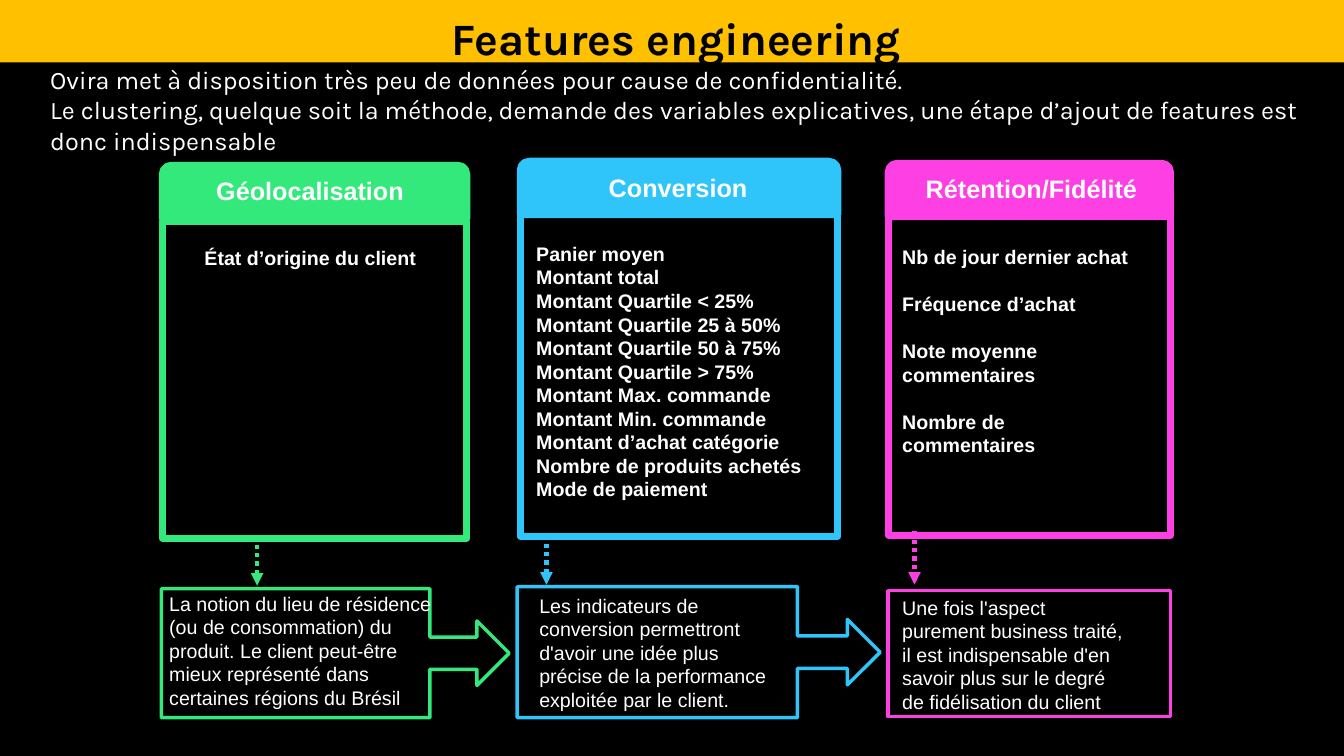
from lxml import etree
from pptx import Presentation
from pptx.dml.color import RGBColor
from pptx.enum import dml, shapes, text
from pptx.oxml import ns
from pptx.util import Inches, Pt

BLACK = RGBColor(0x00, 0x00, 0x00)
WHITE = RGBColor(0xFF, 0xFF, 0xFF)
AMBER = RGBColor(0xFF, 0xC0, 0x00)
GREEN = RGBColor(0x33, 0xE9, 0x7C)
BLUE = RGBColor(0x2F, 0xC5, 0xFA)
PINK = RGBColor(0xFE, 0x3F, 0xE4)

TITLE = "Features engineering"
INTRO = [
    "Ovira met à disposition très peu de données pour cause de confidentialité.",
    "Le clustering, quelque soit la méthode, demande des variables explicatives, "
    "une étape d’ajout de features est donc indispensable",
]
# Boxes are (left, top, width, height) in inches; "arrow" is (x, top, bottom).
COLUMNS = [
    dict(
        color=GREEN, head="Géolocalisation", items=["État d’origine du client"],
        note="La notion du lieu de résidence (ou de consommation) du produit. "
             "Le client peut-être mieux représenté dans certaines régions du Brésil",
        panel=(1.61, 2.2, 3.02, 3.14), tab=(1.61, 1.64, 3.02, 0.53),
        callout=(1.6, 5.84, 3.45, 1.28), arrow=(2.55, 5.32, 5.81),
        head_box=(2.03, 1.69, 2.09, 0.4), item_box=(1.93, 2.39, 2.4, 0.34),
        note_box=(1.58, 5.82, 2.81, 1.28), gap=0, last=False,
    ),
    dict(
        color=BLUE, head="Conversion",
        items=["Panier moyen", "Montant total", "Montant Quartile < 25%",
               "Montant Quartile 25 à 50%", "Montant Quartile 50 à 75%",
               "Montant Quartile > 75%", "Montant Max. commande",
               "Montant Min. commande", "Montant d’achat catégorie",
               "Nombre de produits achetés", "Mode de paiement"],
        note="Les indicateurs de conversion permettront d'avoir une idée plus "
             "précise de la performance exploitée par le client.",
        panel=(5.16, 2.13, 3.15, 3.19), tab=(5.16, 1.6, 3.15, 0.53),
        callout=(5.13, 5.82, 3.6, 1.3), arrow=(5.42, 5.31, 5.8),
        head_box=(5.19, 1.66, 3.07, 0.4), item_box=(5.22, 2.35, 2.89, 3.1),
        note_box=(5.25, 5.84, 2.61, 1.28), gap=0, last=False,
    ),
    dict(
        color=PINK, head="Rétention/Fidélité",
        items=["Nb de jour dernier achat", "Fréquence d’achat",
               "Note moyenne commentaires", "Nombre de commentaires"],
        note="Une fois l'aspect purement business traité, il est indispensable "
             "d'en savoir plus sur le degré de fidélisation du client",
        panel=(8.81, 1.96, 2.8, 3.35), tab=(8.81, 1.62, 2.8, 0.53),
        callout=(8.81, 5.86, 2.8, 1.25), arrow=(9.07, 5.27, 5.8),
        head_box=(9.01, 1.67, 2.44, 0.4), item_box=(8.85, 2.38, 2.56, 2.46),
        note_box=(8.85, 5.86, 2.48, 1.28), gap=16.8, last=True,
    ),
]


def inches(box):
    return [Inches(v) for v in box]


def add_box(slide, kind, box, fill, line, width):
    shape = slide.shapes.add_shape(kind, *inches(box))
    shape.shadow.inherit = False
    shape.fill.solid()
    shape.fill.fore_color.rgb = fill
    shape.line.color.rgb = line
    shape.line.width = Pt(width)
    return shape


def add_text(slide, box, lines, size, name="Arial", bold=False, center=False, gap=0):
    frame = slide.shapes.add_textbox(*inches(box)).text_frame
    frame.word_wrap = True
    frame.text = "\n".join(lines)
    for i, para in enumerate(frame.paragraphs):
        para.alignment = text.PP_ALIGN.CENTER if center else text.PP_ALIGN.LEFT
        if i and gap:
            para.space_before = Pt(gap)
        for run in para.runs:
            font = run.font
            font.name, font.size, font.bold = name, Pt(size), bold
            font.color.rgb = WHITE


def add_arrow(slide, x, top, bottom, color):
    arrow = slide.shapes.add_connector(
        shapes.MSO_CONNECTOR.STRAIGHT, *inches((x, top, x, bottom)))
    arrow.line.color.rgb = color
    arrow.line.width = Pt(3)
    arrow.line.dash_style = dml.MSO_LINE.ROUND_DOT
    tail = etree.SubElement(arrow.line._get_or_add_ln(), ns.qn("a:tailEnd"))
    tail.set("type", "triangle")
    etree.SubElement(arrow._element.spPr, ns.qn("a:effectLst"))


def set_title(slide):
    title = slide.shapes.title
    title.left, title.top, title.width, title.height = inches((0, 0, 13.33, 0.62))
    title.fill.solid()
    title.fill.fore_color.rgb = AMBER
    frame = title.text_frame
    frame.text = TITLE
    frame.auto_size = text.MSO_AUTO_SIZE.NONE
    frame.vertical_anchor = text.MSO_ANCHOR.TOP
    frame.margin_left, frame.margin_top = Inches(0.09), Inches(0.11)
    frame.margin_right = frame.margin_bottom = 0
    para = frame.paragraphs[0]
    para.alignment = text.PP_ALIGN.CENTER
    para.line_spacing = 1.0
    font = para.runs[0].font
    font.name, font.size, font.bold = "Karla", Pt(32), True
    font.color.rgb = BLACK


def add_column(slide, col):
    kind, color = shapes.MSO_SHAPE, col["color"]
    add_box(slide, kind.RECTANGLE, col["panel"], BLACK, color, 5)
    add_box(slide, kind.ROUND_2_SAME_RECTANGLE, col["tab"], color, color, 5)
    if col["last"]:
        add_box(slide, kind.RECTANGLE, col["callout"], BLACK, color, 2.5)
    else:
        callout = add_box(slide, kind.RIGHT_ARROW_CALLOUT, col["callout"],
                          BLACK, color, 2.5)
        for i, value in enumerate((0.25, 0.25, 0.25, 0.772)):
            callout.adjustments[i] = value
    add_arrow(slide, *col["arrow"], color)
    add_text(slide, col["head_box"], [col["head"]], 18, bold=True, center=True)
    add_text(slide, col["item_box"], col["items"], 14, bold=True, gap=col["gap"])
    add_text(slide, col["note_box"], [col["note"]], 14)


def main():
    deck = Presentation()
    deck.slide_width, deck.slide_height = Inches(13.33), Inches(7.5)
    slide = deck.slides.add_slide(deck.slide_layouts[5])
    slide.background.fill.solid()
    slide.background.fill.fore_color.rgb = BLACK
    set_title(slide)
    add_text(slide, (0.4, 0.59, 12.94, 1.01), INTRO, 18, name="Karla")
    for col in COLUMNS:
        add_column(slide, col)
    deck.save("out.pptx")


if __name__ == "__main__":
    main()
